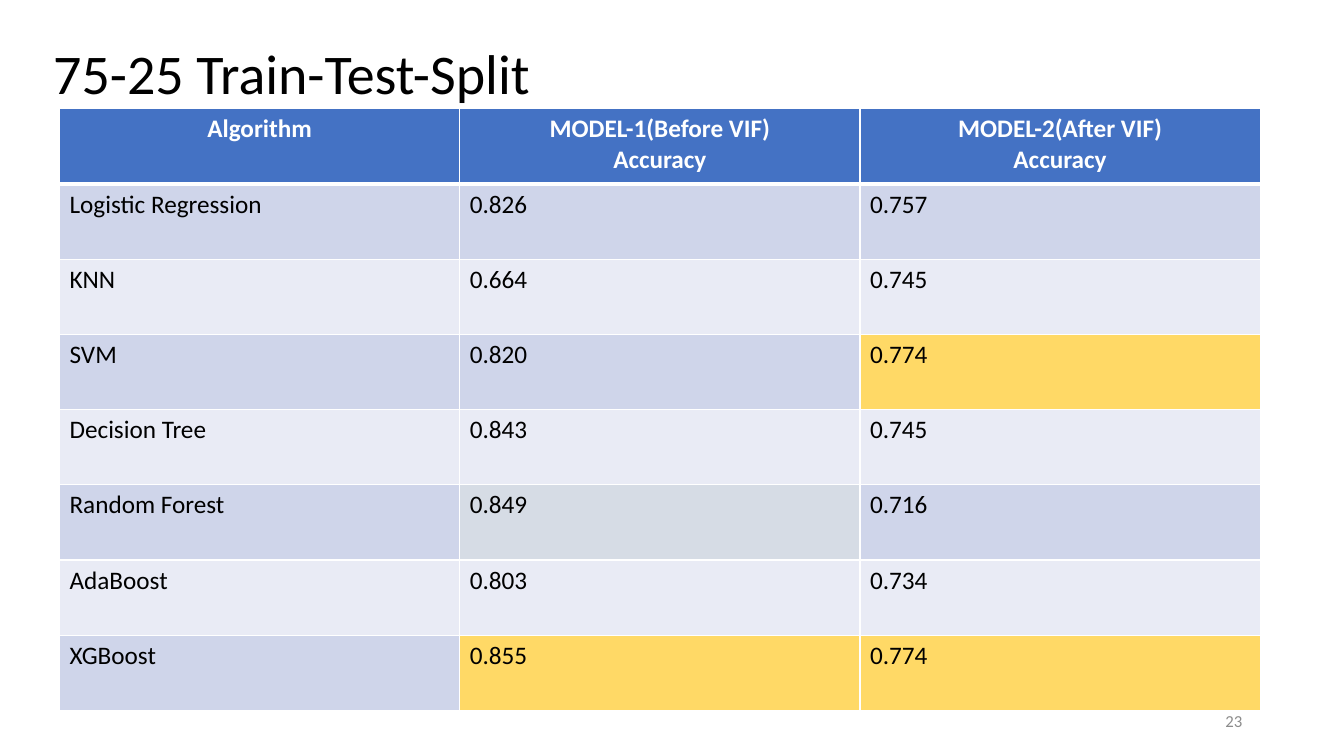
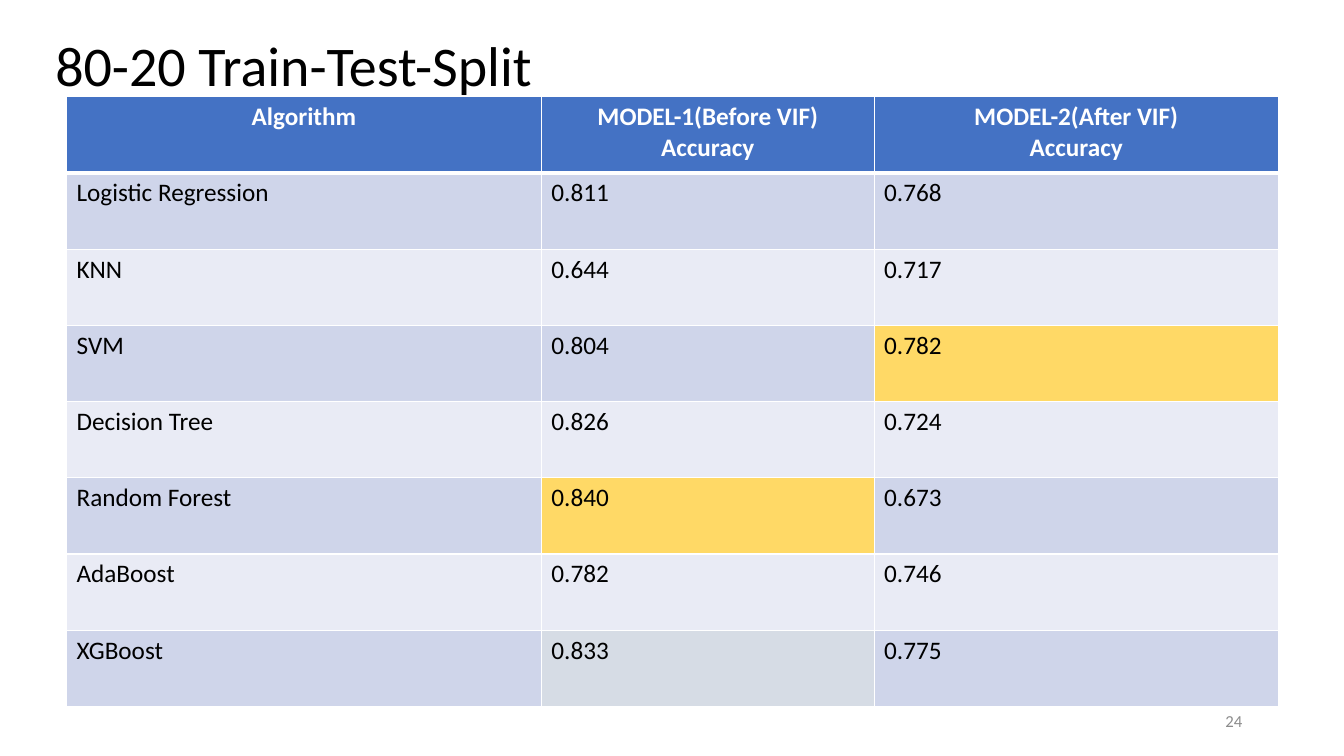
from lxml.etree import SubElement
from pptx import Presentation
from pptx.dml.color import RGBColor
from pptx.enum.text import MSO_ANCHOR, PP_ALIGN
from pptx.oxml.ns import qn
from pptx.util import Emu, Pt

# Content
HEADERS = ["Algorithm", "MODEL-1(Before VIF)\nAccuracy", "MODEL-2(After VIF)\nAccuracy"]
ALGORITHMS = ["Logistic Regression", "KNN", "SVM", "Decision Tree",
              "Random Forest", "AdaBoost", "XGBoost"]
# Marks are keyed by (algorithm, model number)
SPLITS = [
    {
        "title": "75-25 Train-Test-Split",
        "title_box": (43, 33, 860, 108),
        "table_box": (59, 108, 597),
        "columns": [397, 397, 397],
        "before": ["0.826", "0.664", "0.820", "0.843", "0.849", "0.803", "0.855"],
        "after": ["0.757", "0.745", "0.774", "0.745", "0.716", "0.734", "0.774"],
        "marks": {("SVM", 2): "best", ("Random Forest", 1): "muted",
                  ("XGBoost", 1): "best", ("XGBoost", 2): "best"},
        "number": "23",
    },
    {
        "title": "80-20 Train-Test-Split",
        "title_box": (45, 25, 768, 108),
        "table_box": (66, 96, 605),
        "columns": [471, 330, 401],
        "before": ["0.811", "0.644", "0.804", "0.826", "0.840", "0.782", "0.833"],
        "after": ["0.768", "0.717", "0.782", "0.724", "0.673", "0.746", "0.775"],
        "marks": {("SVM", 2): "best", ("Random Forest", 1): "best",
                  ("XGBoost", 1): "muted"},
        "number": "24",
    },
]

# Shared style
COLORS = {"text": "000000", "white": "FFFFFF", "header": "4472C4",
          "odd": "CFD5EA", "even": "E9EBF5", "best": "FFD966",
          "muted": "D6DCE5", "number": "8C8C8C"}
FONT = "Calibri"
SLIDE_SIZE = (1333, 750)
NUMBER_BOX = (942, 695, 300, 40)
THIN, THICK = 1, 3


def px(length):
    """Convert px, 100 to the inch, into EMU."""
    return Emu(int(length * 9144))


def write(frame, text, size, color, align=PP_ALIGN.LEFT, bold=False):
    frame.text = text
    for paragraph in frame.paragraphs:
        paragraph.alignment = align
        for run in paragraph.runs:
            run.font.name = FONT
            run.font.size = Pt(size)
            run.font.bold = bold
            run.font.color.rgb = RGBColor.from_string(COLORS[color])


def add_text(slide, box, text, size, color, align=PP_ALIGN.LEFT, anchor=MSO_ANCHOR.TOP):
    frame = slide.shapes.add_textbox(*map(px, box)).text_frame
    frame.word_wrap = True
    frame.vertical_anchor = anchor
    write(frame, text, size, color, align)


def set_borders(cell, top, bottom):
    properties = cell._tc.get_or_add_tcPr()
    for side, width in (("L", THIN), ("R", THIN), ("T", top), ("B", bottom)):
        line = SubElement(properties, qn(f"a:ln{side}"), w=str(Pt(width)))
        fill = SubElement(line, qn("a:solidFill"))
        SubElement(fill, qn("a:srgbClr"), val=COLORS["white"])


def add_accuracy_table(slide, split):
    left, top, height = split["table_box"]
    columns = split["columns"]
    rows = [HEADERS, *zip(ALGORITHMS, split["before"], split["after"])]
    table = slide.shapes.add_table(len(rows), len(columns), px(left), px(top),
                                   px(sum(columns)), px(height)).table
    for column, width in zip(table.columns, columns):
        column.width = px(width)
    for r, values in enumerate(rows):
        table.rows[r].height = px(height / len(rows))
        band = "header" if r == 0 else "odd" if r % 2 else "even"
        for c, value in enumerate(values):
            cell = table.cell(r, c)
            # The rule under the header is the thick one
            set_borders(cell, THICK if r == 1 else THIN, THICK if r == 0 else THIN)
            fill = split["marks"].get((values[0], c), band)
            cell.fill.solid()
            cell.fill.fore_color.rgb = RGBColor.from_string(COLORS[fill])
            if r == 0:
                write(cell.text_frame, value, 18, "white", PP_ALIGN.CENTER, bold=True)
            else:
                write(cell.text_frame, value, 18, "text")


def main():
    deck = Presentation()
    deck.slide_width, deck.slide_height = map(px, SLIDE_SIZE)
    for split in SPLITS:
        slide = deck.slides.add_slide(deck.slide_layouts[6])
        add_text(slide, split["title_box"], split["title"], 40, "text")
        add_accuracy_table(slide, split)
        add_text(slide, NUMBER_BOX, split["number"], 12, "number",
                 PP_ALIGN.RIGHT, MSO_ANCHOR.MIDDLE)
    deck.save("out.pptx")


if __name__ == "__main__":
    main()
